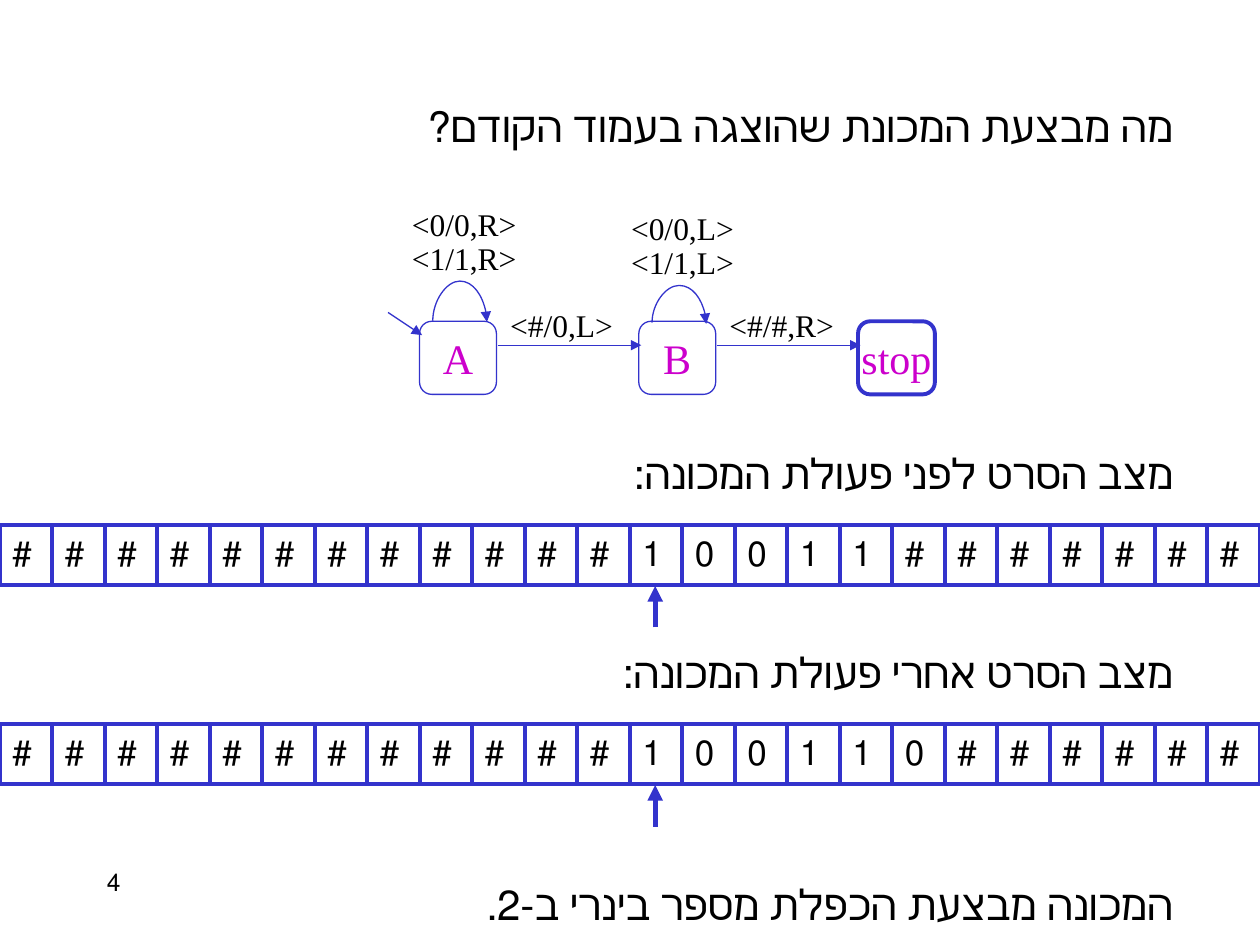
from dataclasses import dataclass

from lxml.etree import SubElement
from pptx import Presentation
from pptx.dml.color import RGBColor
from pptx.enum.shapes import MSO_CONNECTOR, MSO_SHAPE
from pptx.enum.text import MSO_ANCHOR, MSO_AUTO_SIZE, PP_ALIGN
from pptx.oxml.ns import qn
from pptx.util import Inches, Pt


@dataclass(frozen=True)
class Theme:
    font: str = "Times New Roman"
    ink: RGBColor = RGBColor(0x00, 0x00, 0x00)
    paper: RGBColor = RGBColor(0xFF, 0xFF, 0xFF)
    outline: RGBColor = RGBColor(0x33, 0x33, 0xCC)
    state: RGBColor = RGBColor(0xCC, 0x00, 0xCC)
    statement_size: int = 24
    state_size: int = 24
    symbol_size: int = 20
    rule_size: int = 18
    number_size: int = 14
    thin: float = 0.75
    thick: float = 2.25
    pointer: float = 3


THEME = Theme()


def write(frame, content, size, color=THEME.ink, align=PP_ALIGN.LEFT,
          anchor=MSO_ANCHOR.TOP, rtl=True, wrap=True, top_inset=0.05):
    frame.auto_size = MSO_AUTO_SIZE.NONE
    frame.word_wrap = wrap
    frame.vertical_anchor = anchor
    frame.margin_top = Inches(top_inset)
    paragraph = frame.paragraphs[0]
    paragraph.alignment = align
    if rtl:
        paragraph._p.get_or_add_pPr().set("rtl", "1")
    run = paragraph.add_run()
    run.text = content
    run.font.name = THEME.font
    run.font.size = Pt(size)
    run.font.color.rgb = color


def add_text(shapes, left, top, width, content, **text_format):
    label = shapes.add_textbox(Inches(left), Inches(top), Inches(width), Inches(0.5))
    write(label.text_frame, content, **text_format)


def add_box(shapes, preset, left, top, width, height, weight, content, **text_format):
    box = shapes.add_shape(preset, Inches(left), Inches(top), Inches(width), Inches(height))
    box.shadow.inherit = False
    box.fill.solid()
    box.fill.fore_color.rgb = THEME.paper
    box.line.color.rgb = THEME.outline
    box.line.width = Pt(weight)
    write(box.text_frame, content, **text_format)


def add_arrow(shapes, start, end, weight, kind=MSO_CONNECTOR.STRAIGHT):
    arrow = shapes.add_connector(kind, *map(Inches, start + end))
    arrow.line.color.rgb = THEME.outline
    arrow.line.width = Pt(weight)
    SubElement(arrow.line._get_or_add_ln(), qn("a:tailEnd"), type="triangle")
    SubElement(arrow._element.spPr, qn("a:effectLst"))
    return arrow


def add_loop(shapes, left, base, rise, span=0.43, depth=0.01):
    middle = left + span / 2
    loop = add_arrow(shapes, (middle, base + span / 2), (middle + depth, base - span / 2),
                     THEME.thin, MSO_CONNECTOR.CURVE)
    properties = loop._element.spPr
    properties.find(qn("a:xfrm")).set("rot", "5400000")
    adjustments = properties.find(qn("a:prstGeom")).get_or_add_avLst()
    SubElement(adjustments, qn("a:gd"), name="adj1",
               fmla=f"val {round(-rise / depth * 100000)}")


def add_statement(slide, top, content):
    add_text(slide.shapes, 0.08, top, 9.33, content,
             size=THEME.statement_size, align=PP_ALIGN.RIGHT)


def add_question(slide, left, top, width, content):
    question = slide.shapes.title
    question.left, question.top = Inches(left), Inches(top)
    question.width, question.height = Inches(width), Inches(0.5)
    write(question.text_frame, content, size=THEME.statement_size, align=PP_ALIGN.RIGHT)


def add_rule(shapes, left, top, content):
    add_text(shapes, left, top, 1.22, content, size=THEME.rule_size,
             rtl=False, top_inset=0.13)


def add_machine(slide, left, top, pitch=1.74):
    shapes = slide.shapes.add_group_shape().shapes
    states = [("A", THEME.thin), ("B", THEME.thin), ("stop", THEME.thick)]
    for index, (state, weight) in enumerate(states):
        add_box(shapes, MSO_SHAPE.ROUNDED_RECTANGLE, left + index * pitch, top, 0.61, 0.58,
                weight, state, size=THEME.state_size, color=THEME.state,
                align=PP_ALIGN.CENTER, anchor=MSO_ANCHOR.MIDDLE, wrap=False)
    moves = [("R", "<#/0,L>", 0, 0.32), ("L", "<#/#,R>", 0.03, 0.3)]
    for index, (direction, transition, drop, rise) in enumerate(moves):
        x = left + index * pitch
        add_arrow(shapes, (x + 0.62, top + 0.19), (x + 1.76, top + 0.19), THEME.thin)
        add_loop(shapes, x + 0.1, top + drop / 2, rise)
        for bit, lift in ((1, 0.78), (0, 1.05)):
            add_rule(shapes, x - 0.16, top - lift + drop, f"<{bit}/{bit},{direction}>")
        add_rule(shapes, x + 0.62, top - 0.25, transition)
    add_arrow(shapes, (left - 0.25, top - 0.07), (left + 0.02, top + 0.11), THEME.thin)


def add_tape(slide, left, top, width, symbols, head=5.2):
    add_arrow(slide.shapes, (left + head, top + 0.81), (left + head, top + 0.48),
              THEME.pointer)
    shapes = slide.shapes.add_group_shape().shapes
    cell = width / len(symbols)
    for index, symbol in enumerate(symbols):
        add_box(shapes, MSO_SHAPE.RECTANGLE, left + index * cell, top, cell, 0.47,
                THEME.thick, symbol, size=THEME.symbol_size)


def build():
    deck = Presentation()
    deck.slide_width, deck.slide_height = Inches(10), Inches(7.5)
    slide = deck.slides.add_slide(deck.slide_layouts[5])
    add_text(slide.shapes, 0.75, 6.83, 2.08, "4", size=THEME.number_size)
    add_question(slide, 0.08, 0.75, 9.33, "מה מבצעת המכונת שהוצגה בעמוד הקודם?")
    add_machine(slide, 3.33, 2.55)
    tapes = [
        (3.5, "מצב הסרט לפני פעולת המכונה:", "10011"),
        (5.08, "מצב הסרט אחרי פעולת המכונה:", "100110"),
    ]
    for top, caption, number in tapes:
        add_statement(slide, top, caption)
        add_tape(slide, 0, top + 0.67, 10, ("#" * 12 + number).ljust(24, "#"))
    add_statement(slide, 6.92, "המכונה מבצעת הכפלת מספר בינרי ב-2.")
    deck.save("out.pptx")


build()
